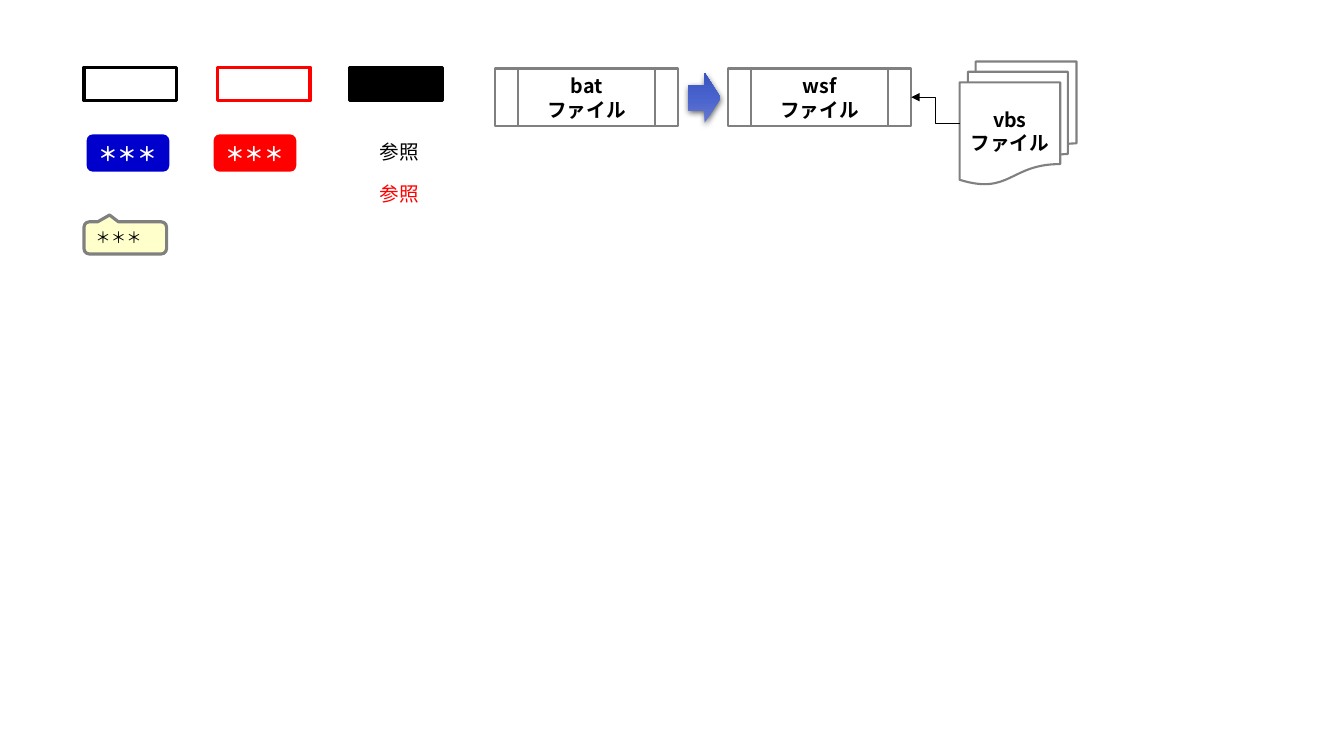
from lxml import etree
from pptx import Presentation
from pptx.dml.color import RGBColor
from pptx.enum.shapes import MSO_CONNECTOR as Connector, MSO_SHAPE as Shape
from pptx.enum.text import MSO_ANCHOR as Anchor, MSO_AUTO_SIZE as AutoSize, PP_ALIGN as Align
from pptx.oxml import parse_xml
from pptx.oxml.ns import nsdecls, qn
from pptx.util import Inches, Pt

BLACK, WHITE, RED, GREY = "000000", "FFFFFF", "FF0000", "808080"


def color(hex_text):
    return RGBColor.from_string(hex_text)


class Sheet:
    """Draws on one slide, measured in cells of a 160 by 90 grid."""
    font = "Noto Sans CJK JP"
    columns, rows = 160, 90
    leading = 1.22

    def __init__(self, deck):
        self.deck = deck
        self.slide = deck.slides.add_slide(deck.slide_layouts[6])

    def place(self, column, row):
        return (round(self.deck.slide_width * column / self.columns),
                round(self.deck.slide_height * row / self.rows))

    def shape(self, kind, column, row, width, height, fill=None, line=None, weight=1.5):
        shape = self.slide.shapes.add_shape(
            kind, *self.place(column, row), *self.place(width, height))
        shape.shadow.inherit = False
        if fill:
            shape.fill.solid()
            shape.fill.fore_color.rgb = color(fill)
        else:
            shape.fill.background()
        if line:
            shape.line.color.rgb = color(line)
            shape.line.width = Pt(weight)
        else:
            shape.line.fill.background()
        return shape

    def add_text(self, shape, text, size=14, ink=BLACK, bold=False, align=Align.LEFT,
                 anchor=Anchor.TOP, wrap=True, grow=True):
        frame = shape.text_frame
        frame.text = text
        frame.word_wrap = wrap
        frame.auto_size = AutoSize.SHAPE_TO_FIT_TEXT if grow else AutoSize.NONE
        frame.vertical_anchor = anchor
        for para in frame.paragraphs:
            para.alignment = align
            para.line_spacing = Pt(round(size * self.leading))
            for span in para.runs:
                span.font.size = Pt(size)
                span.font.bold = bold
                span.font.name = self.font
                span.font.color.rgb = color(ink)
                east_asian = etree.SubElement(span.font._element, qn("a:ea"))
                east_asian.set("typeface", self.font)

    def label(self, text, column, row, width, height, ink):
        box = self.slide.shapes.add_textbox(
            *self.place(column, row), *self.place(width, height))
        self.add_text(box, text, ink=ink, wrap=False)

    def block_arrow(self, column, row, width, height, stops):
        """Add a shaded block arrow that points right and casts a shadow."""
        arrow = self.shape(Shape.LEFT_ARROW, column, row, width, height)
        arrow.rotation = 180
        arrow.fill.gradient()
        arrow.fill.gradient_angle = 270
        properties = arrow._element.spPr
        stop_list = properties.find(".//" + qn("a:gsLst"))
        stop_list.clear()
        for percent, hex_text in stops:
            stop = etree.SubElement(stop_list, qn("a:gs"), pos=str(percent * 1000))
            etree.SubElement(stop, qn("a:srgbClr"), val=hex_text)
        properties.find(qn("a:effectLst")).append(parse_xml(
            f'<a:outerShdw {nsdecls("a")} blurRad="{Pt(4.5)}" dist="{Pt(1.5)}" '
            f'dir="5400000" algn="ctr" rotWithShape="0"><a:srgbClr val="{BLACK}">'
            '<a:alpha val="63000"/></a:srgbClr></a:outerShdw>'))

    def elbow_arrow(self, start, end):
        arrow = self.slide.shapes.add_connector(
            Connector.ELBOW, *self.place(*start), *self.place(*end))
        arrow.line.color.rgb = color(BLACK)
        arrow.line.width = Pt(0.5)
        properties = arrow._element.spPr
        etree.SubElement(properties.find(qn("a:ln")), qn("a:tailEnd"), type="triangle")
        etree.SubElement(properties, qn("a:effectLst"))


def main():
    deck = Presentation()
    deck.slide_width, deck.slide_height = Inches(13.33), Inches(7.5)
    sheet = Sheet(deck)

    for column, fill, line in ((10, None, BLACK), (25.92, None, RED), (41.64, BLACK, BLACK)):
        sheet.shape(Shape.RECTANGLE, column, 8, 11, 4, fill, line, 2.25)

    for column, fill in ((10.32, "0000CC"), (25.44, RED)):
        badge = sheet.shape(Shape.ROUNDED_RECTANGLE, column, 16, 9.84, 4.44, fill)
        sheet.add_text(badge, "＊＊＊", ink=WHITE, bold=True, wrap=False)

    for row, ink in ((16, BLACK), (21, RED)):
        sheet.label("参照", 44, row, 7.08, 4.08, ink)

    callout = sheet.shape(Shape.ROUNDED_RECTANGULAR_CALLOUT, 10, 26.4, 9.84, 3.84,
                          "FFFFCC", GREY, 2.25)
    for index, value in enumerate((-0.19, -0.71, 0.17)):
        callout.adjustments[index] = value
    sheet.add_text(callout, "＊＊＊", size=11)

    top, width, height = 8.16, 21.84, 6.84
    bat_left, wsf_left, vbs_left = 58.92, 86.64, 114.24
    for name, left in (("bat", bat_left), ("wsf", wsf_left)):
        process = sheet.shape(Shape.FLOWCHART_PREDEFINED_PROCESS, left, top, width, height,
                              line=GREY)
        sheet.add_text(process, f"{name}\nファイル", bold=True, align=Align.CENTER)

    vbs_top, vbs_height = 7.32, 14.64
    scripts = sheet.shape(Shape.FLOWCHART_MULTIDOCUMENT, vbs_left, vbs_top, 13.92, vbs_height,
                          line=GREY)
    sheet.add_text(scripts, "vbs\nファイル", bold=True, align=Align.CENTER,
                   anchor=Anchor.MIDDLE, wrap=False, grow=False)

    sheet.block_arrow(81.96, 8.64, 3.84, 6, ((0, "687ACF"), (50, "4863CE"), (100, "3954BE")))
    sheet.elbow_arrow((vbs_left, vbs_top + vbs_height / 2),
                      (wsf_left + width, top + height / 2))
    deck.save("out.pptx")


if __name__ == "__main__":
    main()
